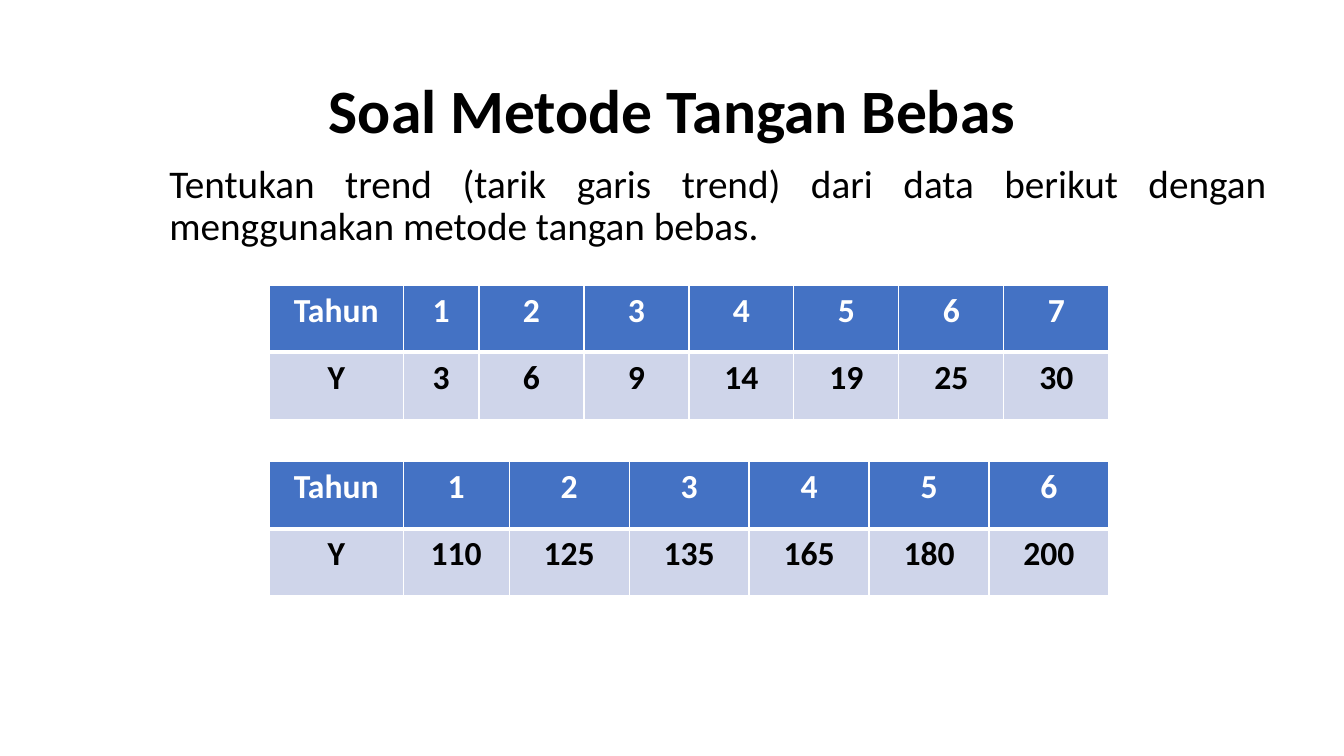
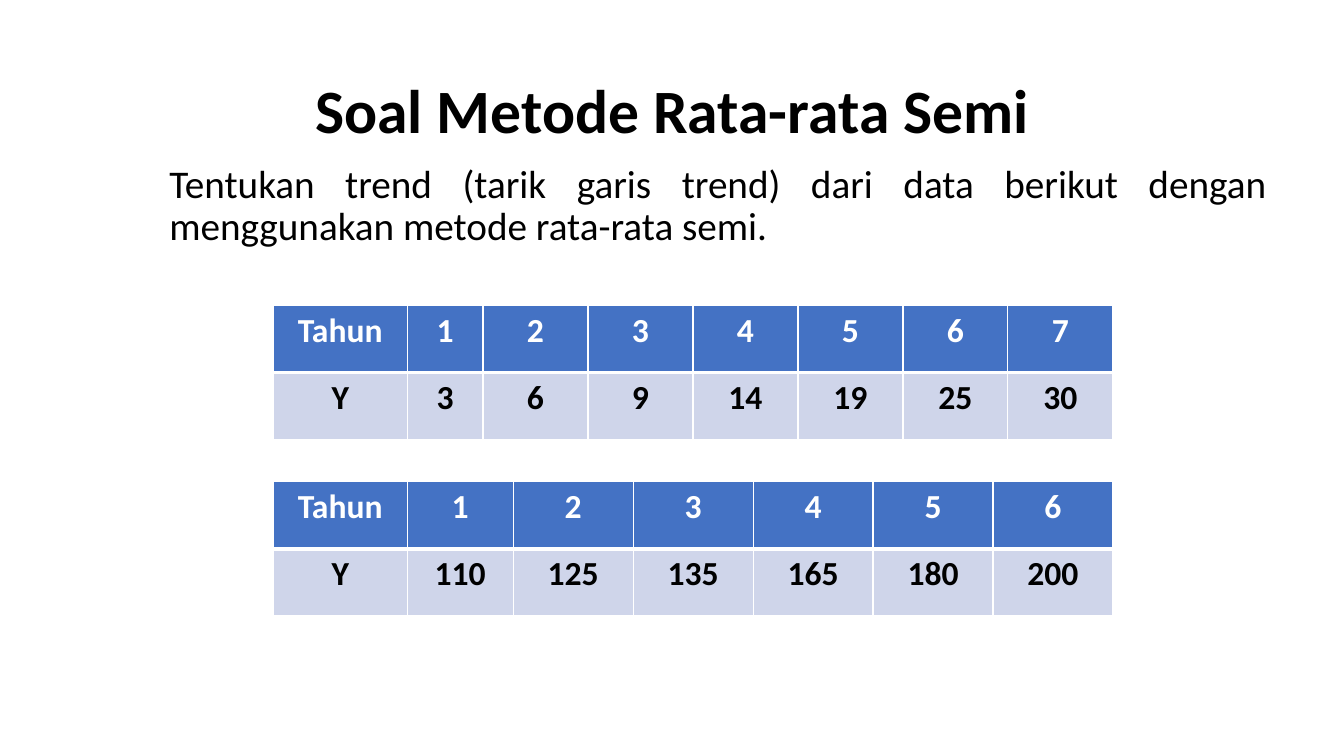
from lxml.etree import SubElement
from pptx import Presentation
from pptx.dml.color import RGBColor
from pptx.enum.text import MSO_ANCHOR, MSO_AUTO_SIZE, PP_ALIGN
from pptx.oxml.ns import qn
from pptx.util import Inches, Pt

FONT = "Calibri"
BLACK = "000000"
WHITE = "FFFFFF"
HEADER_FILL = "4472C4"
VALUE_FILL = "CFD5EA"

TITLE_BOX = (0.92, 0.4, 11.5, 1.45)
QUESTION_BOX = (1.33, 1.58, 11.33, 5)
TABLE_WIDTH = 8.33
TABLE_HEIGHT = 1.33
TABLE_STEP = 1.75
LABEL_WIDTH = 1.33

SERIES = [
    {"first_width": 0.75, "values": [3, 6, 9, 14, 19, 25, 30]},
    {"first_width": 1.05, "values": [110, 125, 135, 165, 180, 200]},
]

PAGES = [
    {"title": "Soal Metode Tangan Bebas", "method": "tangan bebas", "tables_at": (2.67, 2.83)},
    {"title": "Soal Metode Rata-rata Semi", "method": "rata-rata semi", "tables_at": (2.71, 3.03)},
]


def color(value):
    return RGBColor.from_string(value)


def apply_values(target, values):
    for name, value in values.items():
        setattr(target, name, value)


def write(frame, text, para_format, font_format, font_color):
    para = frame.paragraphs[0]
    apply_values(para, para_format)
    span = para.add_run()
    span.text = text
    apply_values(span.font, {"name": FONT, **font_format})
    span.font.color.rgb = color(font_color)
    return para


def place(box, bounds):
    names = ("left", "top", "width", "height")
    apply_values(box, dict(zip(names, map(Inches, bounds))))


def add_title(page, text, bounds):
    box = page.shapes.title
    place(box, bounds)
    apply_values(box.text_frame, {
        "vertical_anchor": MSO_ANCHOR.MIDDLE,
        "auto_size": MSO_AUTO_SIZE.NONE,
        "word_wrap": True,
    })
    write(box.text_frame, text,
          {"alignment": PP_ALIGN.CENTER, "line_spacing": 0.9},
          {"size": Pt(44), "bold": True}, BLACK)


def add_question(page, text, bounds):
    box = page.placeholders[1]
    place(box, bounds)
    apply_values(box.text_frame, {
        "vertical_anchor": MSO_ANCHOR.TOP,
        "auto_size": MSO_AUTO_SIZE.NONE,
        "word_wrap": True,
    })
    para = write(box.text_frame, text,
                 {"alignment": PP_ALIGN.JUSTIFY, "line_spacing": 0.9, "space_before": Pt(10)},
                 {"size": Pt(28)}, BLACK)
    properties = para._p.get_or_add_pPr()
    properties.set("marL", str(Inches(0.25)))
    properties.set("indent", "0")
    SubElement(properties, qn("a:buNone"))


def set_borders(cell, widths):
    properties = cell._tc.get_or_add_tcPr()
    for side, width in widths.items():
        line = SubElement(properties, qn(f"a:ln{side}"), w=str(Pt(width)))
        fill = SubElement(line, qn("a:solidFill"))
        SubElement(fill, qn("a:srgbClr"), val=WHITE)


def style_cell(cell, text, fill, font_color, borders):
    set_borders(cell, borders)
    cell.fill.solid()
    cell.fill.fore_color.rgb = color(fill)
    write(cell.text_frame, text, {"alignment": PP_ALIGN.CENTER},
          {"size": Pt(24), "bold": True}, font_color)


def add_series_table(page, series, bounds):
    values = series["values"]
    rows = [
        (["Tahun", *range(1, len(values) + 1)], HEADER_FILL, WHITE,
         {"L": 1, "R": 1, "T": 1, "B": 3}),
        (["Y", *values], VALUE_FILL, BLACK,
         {"L": 1, "R": 1, "T": 3, "B": 1}),
    ]
    left, top, width, height = bounds
    table = page.shapes.add_table(len(rows), len(values) + 1, *map(Inches, bounds)).table
    first_widths = [LABEL_WIDTH, series["first_width"]]
    other_width = (width - sum(first_widths)) / (len(values) - 1)
    widths = first_widths + [other_width] * (len(values) - 1)
    for column, column_width in zip(table.columns, widths):
        column.width = Inches(column_width)
    for row, (texts, fill, font_color, borders) in zip(table.rows, rows):
        row.height = Inches(height / len(rows))
        for cell, text in zip(row.cells, texts):
            style_cell(cell, str(text), fill, font_color, borders)


def add_exercise(deck, title, method, tables_at):
    page = deck.slides.add_slide(deck.slide_layouts[1])
    add_title(page, title, TITLE_BOX)
    add_question(
        page,
        f"Tentukan trend (tarik garis trend) dari data berikut dengan menggunakan metode {method}.",
        QUESTION_BOX,
    )
    left, top = tables_at
    for number, series in enumerate(SERIES):
        add_series_table(page, series, (left, top + number * TABLE_STEP, TABLE_WIDTH, TABLE_HEIGHT))


def main():
    deck = Presentation()
    apply_values(deck, {"slide_width": Inches(13.33), "slide_height": Inches(7.5)})
    for content in PAGES:
        add_exercise(deck, **content)
    deck.save("out.pptx")


if __name__ == "__main__":
    main()
